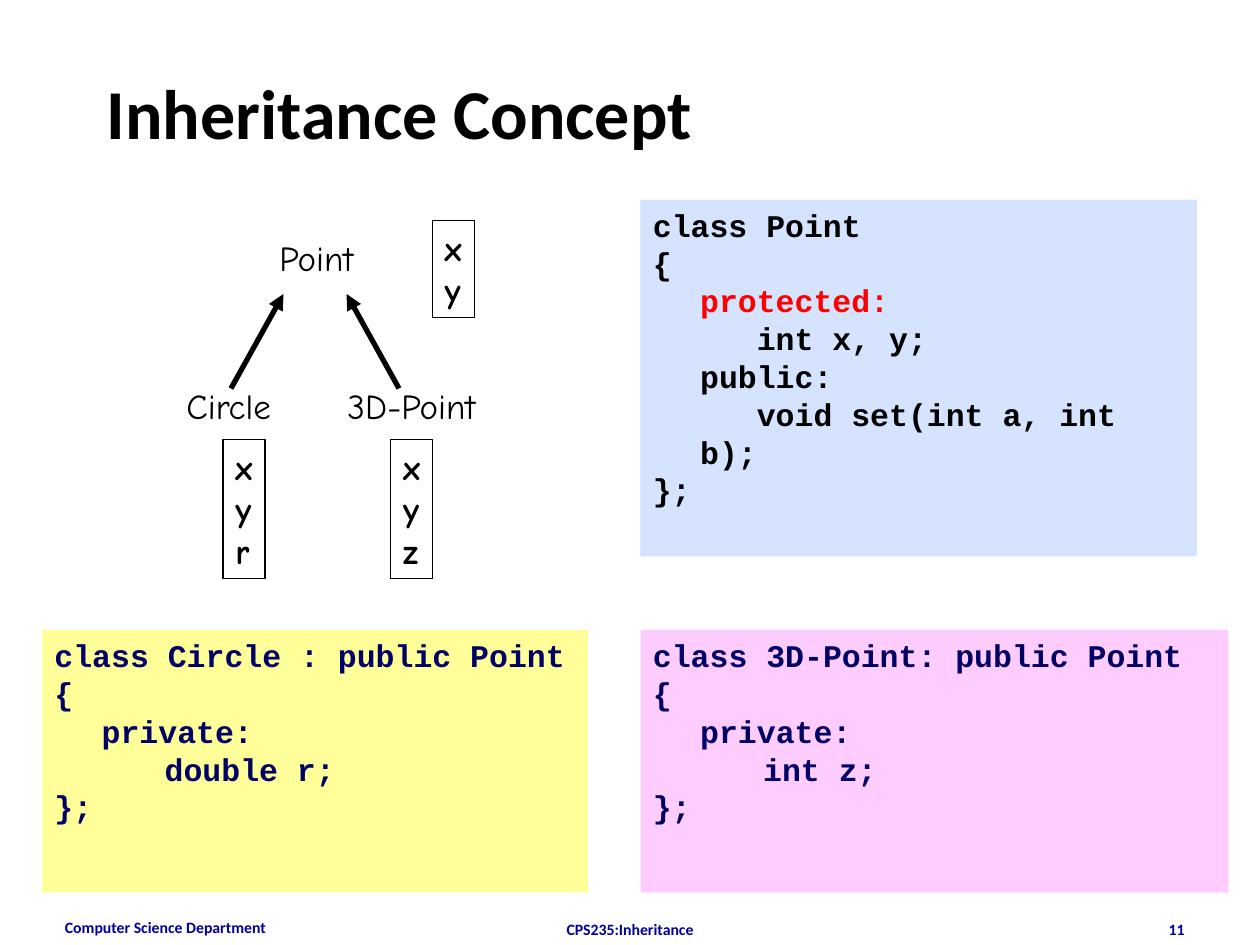
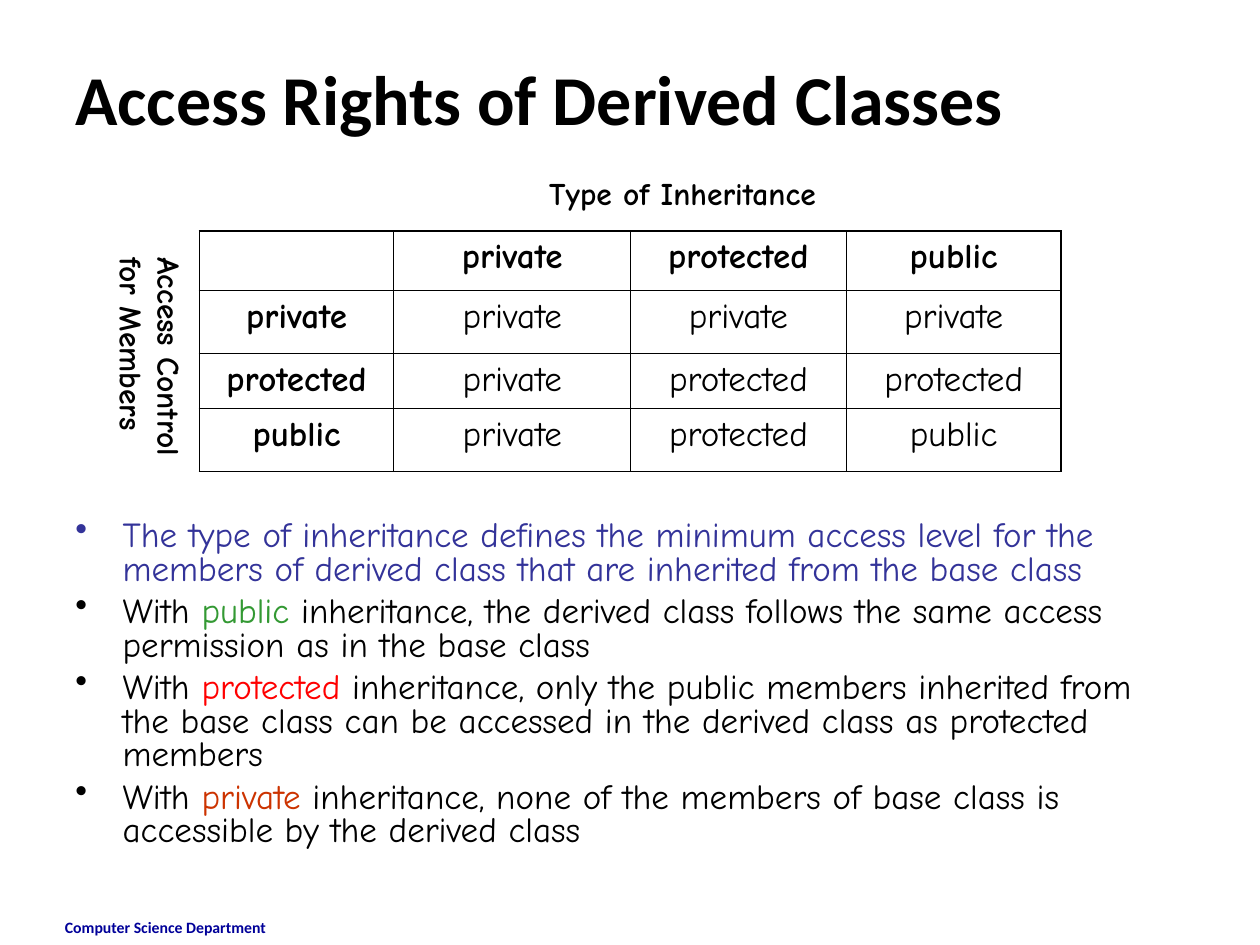
"""Build two slides on class inheritance and access rights."""
import dataclasses

import lxml.etree
import pptx
import pptx.dml.color
import pptx.enum.shapes
import pptx.enum.text
import pptx.oxml.ns
import pptx.util

Pt = pptx.util.Pt
qn = pptx.oxml.ns.qn
ALIGN = pptx.enum.text.PP_ALIGN
FIT = pptx.enum.text.MSO_AUTO_SIZE


@dataclasses.dataclass(frozen=True)
class Look:
    font: str
    size: float
    bold: bool = False
    color: str = "000000"


@dataclasses.dataclass(frozen=True)
class Theme:
    title: Look = Look("Calibri", 40, True)
    foot: Look = Look("Calibri", 9, True, "000099")
    label: Look = Look("Comic Neue", 20)
    strong: Look = Look("Comic Neue", 20, True)
    head: Look = Look("Comic Neue", 18, True)
    base: Look = Look("Courier New", 18, True)
    child: Look = Look("Courier New", 18, True, "000066")
    ink: str = "000000"
    red: str = "FF0000"
    green: str = "339933"
    rust: str = "CC3300"
    blue: str = "333399"
    sky: str = "D5E3FF"
    lemon: str = "FFFF99"
    pink: str = "FFCCFF"
    hang: float = 27
    tab: float = 72
    gap: float = 5
    thin: float = 0.45
    thick: float = 1.08


THEME = Theme()

DEPT = ("Computer Science Department", (30, 520.8, 168, 19.2), ALIGN.LEFT)
COURSE = ("CPS235:Inheritance", (246, 522, 228, 7.2), ALIGN.CENTER)
PAGE = ("11", (516, 522, 168, 7.2), ALIGN.RIGHT)

LABELS = [
    ("Point", (152.6, 131.8, 57.6, 31.4)),
    ("Circle", (99.4, 216, 63.4, 31.4)),
    ("3D-Point", (191.5, 216, 88.6, 31.4)),
]
CODES = [
    (["class Point", "{", [("\t", THEME.ink), ("protected:", THEME.red)],
      "\t   int x, y;", "\tpublic:", "\t   void set(int a, int b);", "};"],
     (366, 114, 318, 204), THEME.sky, THEME.base),
    (["class Circle : public Point", "{", "\tprivate:", "\t\tdouble r;", "};"],
     (24, 360, 312, 150), THEME.lemon, THEME.child),
    (["class 3D-Point: public Point", "{", "\tprivate:", "\t\tint z;", "};"],
     (366, 360, 336, 150), THEME.pink, THEME.child),
]
FIELDS = [
    ("xy", (247, 126, 24, 55.4)),
    ("xyr", (127.4, 251.3, 24, 79.2)),
    ("xyz", (223.2, 251.3, 24, 79.2)),
]
ARROWS = [(162, 168, 132, 222), (198, 168, 228, 222)]

KINDS = ["private", "protected", "public"]
RIGHTS = [[""] + KINDS] + [
    [kind] + [KINDS[min(row, col)] for col in range(3)]
    for row, kind in enumerate(KINDS)
]
WIDTHS = [111, 135.5, 123, 123]
HEIGHTS = [34, 36, 31.5, 36]
NOTES = [
    [("The type of inheritance defines the minimum access level for the members "
      "of derived class that are inherited from the base class", THEME.blue)],
    [("With ", THEME.ink), ("public", THEME.green),
     (" inheritance, the derived class follows the same access permission "
      "as in the base class", THEME.ink)],
    [("With ", THEME.ink), ("protected", THEME.red),
     (" inheritance, only the public members inherited from the base class "
      "can be accessed in the derived class as protected members", THEME.ink)],
    [("With ", THEME.ink), ("private", THEME.rust),
     (" inheritance, none of the members of base class is accessible "
      "by the derived class", THEME.ink)],
]


def tint(color):
    return pptx.dml.color.RGBColor.from_string(color)


def add(node, tag, **attrs):
    return lxml.etree.SubElement(node, qn(tag), attrs)


def write(frame, lines, look, align=ALIGN.LEFT):
    for num, line in enumerate(lines):
        para = frame.add_paragraph() if num else frame.paragraphs[0]
        para.alignment = align
        parts = [(line, look.color)] if isinstance(line, str) else line
        for text, color in parts:
            run = para.add_run()
            run.text = text
            run.font.name = look.font
            run.font.size = Pt(look.size)
            run.font.bold = look.bold
            run.font.color.rgb = tint(color)


def text_box(slide, lines, area, look, align=ALIGN.LEFT, wrap=True):
    frame = slide.shapes.add_textbox(*map(Pt, area)).text_frame
    frame.word_wrap = wrap
    frame.auto_size = FIT.NONE if wrap else FIT.SHAPE_TO_FIT_TEXT
    write(frame, lines, look, align)
    return frame


def panel(slide, lines, area, look, fill=None):
    rect = pptx.enum.shapes.MSO_SHAPE.RECTANGLE
    shape = slide.shapes.add_shape(rect, *map(Pt, area))
    shape.shadow.inherit = False
    frame = shape.text_frame
    frame.vertical_anchor = pptx.enum.text.MSO_ANCHOR.TOP
    frame.word_wrap = bool(fill)
    if fill:
        shape.fill.solid()
        shape.fill.fore_color.rgb = tint(fill)
        shape.line.fill.background()
    else:
        shape.fill.background()
        shape.line.color.rgb = tint(THEME.ink)
        shape.line.width = Pt(0.75)
        frame.auto_size = FIT.SHAPE_TO_FIT_TEXT
    write(frame, lines, look)
    return frame


def indent(para):
    props = para._p.get_or_add_pPr()
    props.set("marL", str(Pt(THEME.hang)))
    props.set("indent", str(-Pt(THEME.hang)))
    return props


def set_tabs(frame):
    for para in frame.paragraphs:
        tabs = add(indent(para), "a:tabLst")
        for stop in range(8):
            add(tabs, "a:tab", pos=str(Pt(THEME.tab * stop)), algn="l")


def set_dots(frame):
    for num, para in enumerate(frame.paragraphs):
        props = indent(para)
        color = NOTES[num][0][1]
        add(add(props, "a:buClr"), "a:srgbClr", val=color)
        add(props, "a:buChar", char="•")
        para.line_spacing = 0.8
        para.space_before = Pt(THEME.gap if num else 0)


def arrow(slide, ends):
    kind = pptx.enum.shapes.MSO_CONNECTOR.STRAIGHT
    link = slide.shapes.add_connector(kind, *map(Pt, ends))
    link.line.color.rgb = tint(THEME.ink)
    link.line.width = Pt(3)
    add(link.line._get_or_add_ln(), "a:headEnd", type="triangle")
    add(link._element.spPr, "a:effectLst")


def frame_cell(cell, row, col):
    outer = {"L": col == 0, "R": col == len(WIDTHS) - 1,
             "T": row == 0, "B": row == len(HEIGHTS) - 1}
    props = cell._tc.get_or_add_tcPr()
    for place, (side, edge) in enumerate(outer.items()):
        width = THEME.thick if edge else THEME.thin
        line = add(props, "a:ln" + side, w=str(Pt(width)))
        add(add(line, "a:solidFill"), "a:srgbClr", val=THEME.ink)
        props.insert(place, line)


def grid(slide):
    area = (114, 132, sum(WIDTHS), sum(HEIGHTS))
    table = slide.shapes.add_table(
        len(HEIGHTS), len(WIDTHS), *map(Pt, area)).table
    table.first_row = table.horz_banding = False
    for col, width in enumerate(WIDTHS):
        table.columns[col].width = Pt(width)
    for row, height in enumerate(HEIGHTS):
        table.rows[row].height = Pt(height)
        for col, word in enumerate(RIGHTS[row]):
            cell = table.cell(row, col)
            cell.fill.background()
            frame_cell(cell, row, col)
            look = THEME.label if row and col else THEME.strong
            if word:
                write(cell.text_frame, [word], look, ALIGN.CENTER)


def new_slide(deck, title, area, feet):
    slide = deck.slides.add_slide(deck.slide_layouts[6])
    for text, place, align in feet:
        text_box(slide, [text], place, THEME.foot, align)
    return slide, text_box(slide, [title], area, THEME.title)


def concept(deck):
    slide, _ = new_slide(deck, "Inheritance Concept", (54, 36, 612, 54),
                         [DEPT, COURSE, PAGE])
    for text, area in LABELS:
        text_box(slide, [text], area, THEME.label, wrap=False)
    for lines, area, fill, look in CODES:
        set_tabs(panel(slide, lines, area, look, fill))
    for names, area in FIELDS:
        panel(slide, names, area, THEME.strong)
    for ends in ARROWS:
        arrow(slide, ends)


def access(deck):
    slide, title = new_slide(deck, "Access Rights of Derived Classes",
                             (36, 21.6, 648, 68.4), [DEPT])
    title.vertical_anchor = pptx.enum.text.MSO_ANCHOR.MIDDLE
    set_dots(text_box(slide, NOTES, (36, 294, 648, 216), THEME.label))
    grid(slide)
    text_box(slide, ["Type of Inheritance"], (306.7, 95.8, 167, 28.8),
             THEME.head, wrap=False)
    side = text_box(slide, ["Access Control", "for Members"],
                    (54, 139.7, 57.6, 121.7), THEME.head, wrap=False)
    side._txBody.bodyPr.set("vert", "eaVert")
    side.margin_left = side.margin_right = Pt(3.6)
    side.margin_top = side.margin_bottom = Pt(7.2)


def main():
    deck = pptx.Presentation()
    deck.slide_width, deck.slide_height = Pt(720), Pt(540)
    concept(deck)
    access(deck)
    deck.save("out.pptx")


if __name__ == "__main__":
    main()
